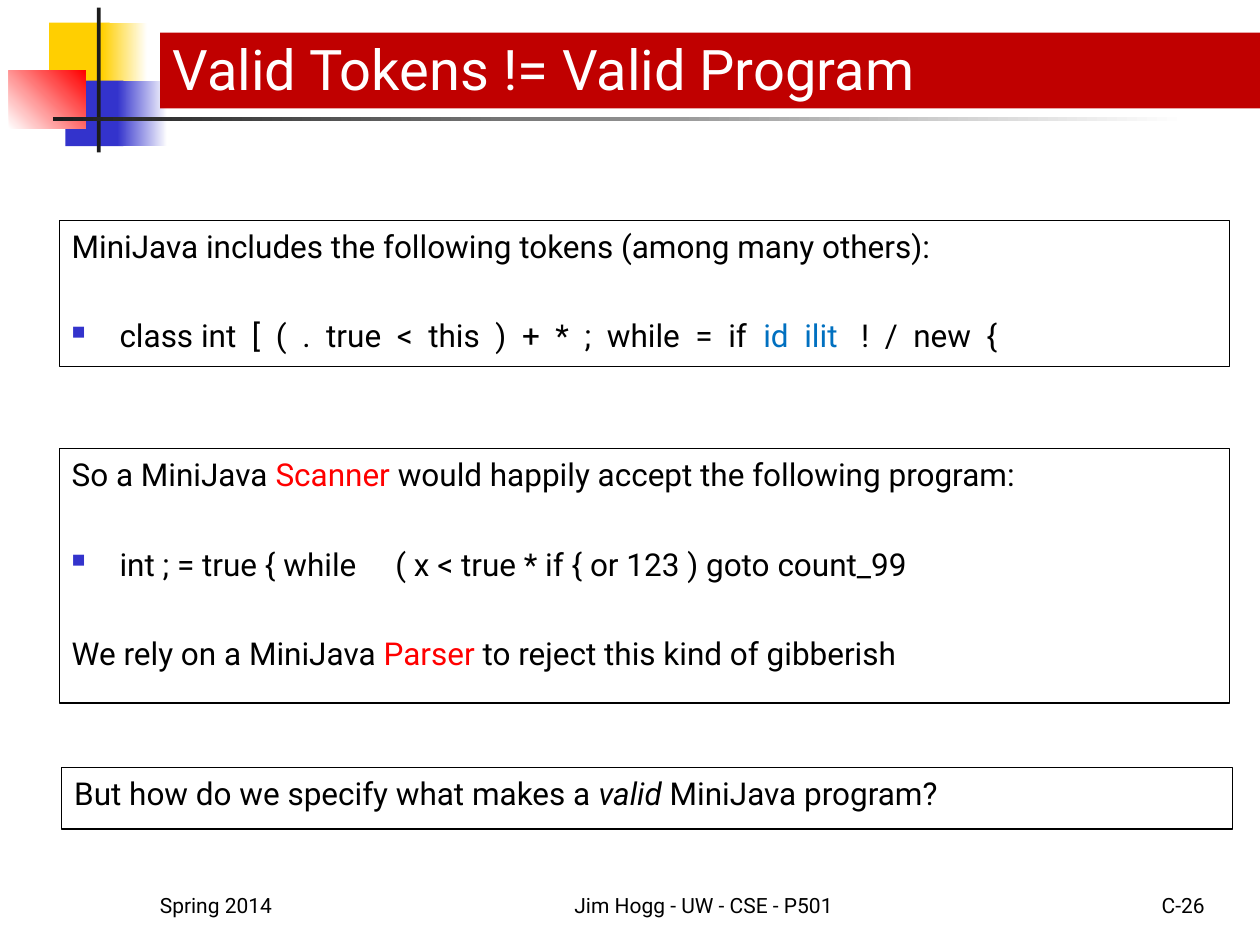
from dataclasses import dataclass

import lxml.etree
import pptx
import pptx.dml.color
import pptx.enum.shapes
import pptx.enum.text
import pptx.oxml.ns
import pptx.util

Inches = pptx.util.Inches
Pt = pptx.util.Pt
ALIGN = pptx.enum.text.PP_ALIGN
ANCHOR = pptx.enum.text.MSO_ANCHOR


@dataclass(frozen=True)
class Theme:
    font: str = "Roboto"
    title_size: int = 32
    body_size: int = 18
    footer_size: int = 12
    paragraph_gap: float = 29.7
    text: str = "000000"
    white: str = "FFFFFF"
    banner: str = "C00000"
    yellow: str = "FFCF01"
    blue: str = "3333CC"
    red: str = "FF0000"
    dark: str = "1C1C1C"
    token: str = "0070C0"


THEME = Theme()


def rgb(value):
    return pptx.dml.color.RGBColor.from_string(value)


def add_run(paragraph, text, size, color=THEME.text, italic=False):
    run = paragraph.add_run()
    run.text = text
    run.font.name = THEME.font
    run.font.size = Pt(size)
    run.font.color.rgb = rgb(color)
    run.font.italic = italic


def add_rectangle(slide, box):
    rectangle = slide.shapes.add_shape(
        pptx.enum.shapes.MSO_SHAPE.RECTANGLE, *map(Inches, box))
    rectangle.shadow.inherit = False
    return rectangle


def add_square_bullet(paragraph):
    properties = paragraph._p.get_or_add_pPr()
    properties.set("marL", str(Inches(0.38)))
    properties.set("indent", str(-Inches(0.38)))
    qn = pptx.oxml.ns.qn
    color = lxml.etree.SubElement(properties, qn("a:buClr"))
    lxml.etree.SubElement(color, qn("a:srgbClr"), val=THEME.blue)
    lxml.etree.SubElement(properties, qn("a:buSzPct"), val="60000")
    lxml.etree.SubElement(properties, qn("a:buChar"), char="■")


def add_ornament(slide, left, top):
    """Coloured blocks and crossing bars; each part is offset from the corner."""
    parts = [
        # x, y, width, height, start colour, end colour, angle
        (0.32, 0.12, 0.48, 0.52, THEME.yellow, None, 0),
        (0.74, 0.12, 0.36, 0.52, THEME.yellow, THEME.white, 0),
        (0.45, 0.58, 0.46, 0.52, THEME.blue, None, 0),
        (0.86, 0.58, 0.40, 0.52, THEME.blue, THEME.white, 0),
        (0, 0.50, 0.61, 0.46, THEME.white, THEME.red, 45),
        (0.70, 0, 0.03, 1.15, THEME.dark, None, 0),
        (0.35, 0.87, 9, 0.03, THEME.dark, THEME.white, 0),
    ]
    for x, y, width, height, start, end, angle in parts:
        block = add_rectangle(slide, (left + x, top + y, width, height))
        block.line.fill.background()
        if end is None:
            block.fill.solid()
            block.fill.fore_color.rgb = rgb(start)
        else:
            block.fill.gradient()
            block.fill.gradient_angle = angle
            for stop, color, position in zip(
                    block.fill.gradient_stops, (start, end), (0, 1)):
                stop.color.rgb = rgb(color)
                stop.position = position


def place_title(slide, box, text):
    title = slide.shapes.title
    title.left, title.top, title.width, title.height = map(Inches, box)
    title.fill.solid()
    title.fill.fore_color.rgb = rgb(THEME.banner)
    frame = title.text_frame
    frame.auto_size = pptx.enum.text.MSO_AUTO_SIZE.NONE
    frame.vertical_anchor = ANCHOR.BOTTOM
    frame.paragraphs[0].alignment = ALIGN.LEFT
    add_run(frame.paragraphs[0], text, THEME.title_size, THEME.white)
    # The banner lies over the ornament
    slide.shapes._spTree.append(title._element)


def add_panel(slide, box, paragraphs):
    """Outlined box; each paragraph is (bulleted, runs)."""
    panel = add_rectangle(slide, box)
    panel.fill.background()
    panel.line.color.rgb = rgb(THEME.text)
    panel.line.width = Pt(0.75)
    frame = panel.text_frame
    frame.word_wrap = True
    frame.vertical_anchor = ANCHOR.TOP
    for index, (bulleted, runs) in enumerate(paragraphs):
        paragraph = frame.add_paragraph() if index else frame.paragraphs[0]
        paragraph.alignment = ALIGN.LEFT
        if index:
            paragraph.space_before = Pt(THEME.paragraph_gap)
        if bulleted:
            add_square_bullet(paragraph)
        for text, *style in runs:
            add_run(paragraph, text, THEME.body_size, *style)


def add_footer(slide, top, height):
    entries = [
        (1.17, 2.08, "Spring 2014", ALIGN.LEFT),
        (4, 3.17, "Jim Hogg - UW - CSE - P501", ALIGN.CENTER),
        (7.58, 2.08, "C-26", ALIGN.RIGHT),
    ]
    for left, width, text, alignment in entries:
        entry = slide.shapes.add_textbox(
            *map(Inches, (left, top, width, height)))
        frame = entry.text_frame
        frame.word_wrap = True
        frame.vertical_anchor = ANCHOR.BOTTOM
        frame.paragraphs[0].alignment = alignment
        add_run(frame.paragraphs[0], text, THEME.footer_size)


def main():
    deck = pptx.Presentation()
    deck.slide_width, deck.slide_height = Inches(10), Inches(7.5)
    slide = deck.slides.add_slide(deck.slide_layouts.get_by_name("Title Only"))

    add_ornament(slide, 0.07, 0.06)
    place_title(slide, (1.27, 0.26, 8.73, 0.6), "Valid Tokens != Valid Program")

    # What the scanner accepts
    add_panel(slide, (0.47, 3.56, 9.29, 2.02), [
        (False, [("So a MiniJava ",), ("Scanner", THEME.red),
                 (" would happily accept the following program:",)]),
        (True, [("int ; = true { while     ( x < true * if { or 123 ) "
                 "goto count_99",)]),
        (False, [("We rely on a MiniJava ",), ("Parser", THEME.red),
                 (" to reject this kind of gibberish",)]),
    ])
    # Token list
    add_panel(slide, (0.47, 1.75, 9.29, 1.16), [
        (False, [("MiniJava includes the following tokens "
                  "(among many others):",)]),
        (True, [("class int  [  (  .  true  <  this  )  +  *  ;  while  =  if  ",),
                ("id  ilit  ", THEME.token), (" !  /  new  {",)]),
    ])
    # Closing question
    add_panel(slide, (0.49, 6.09, 9.29, 0.49), [
        (False, [("But how do we specify what makes a ",),
                 ("valid ", THEME.text, True), ("MiniJava program?",)]),
    ])
    add_footer(slide, 6.83, 0.5)
    deck.save("out.pptx")


if __name__ == "__main__":
    main()
